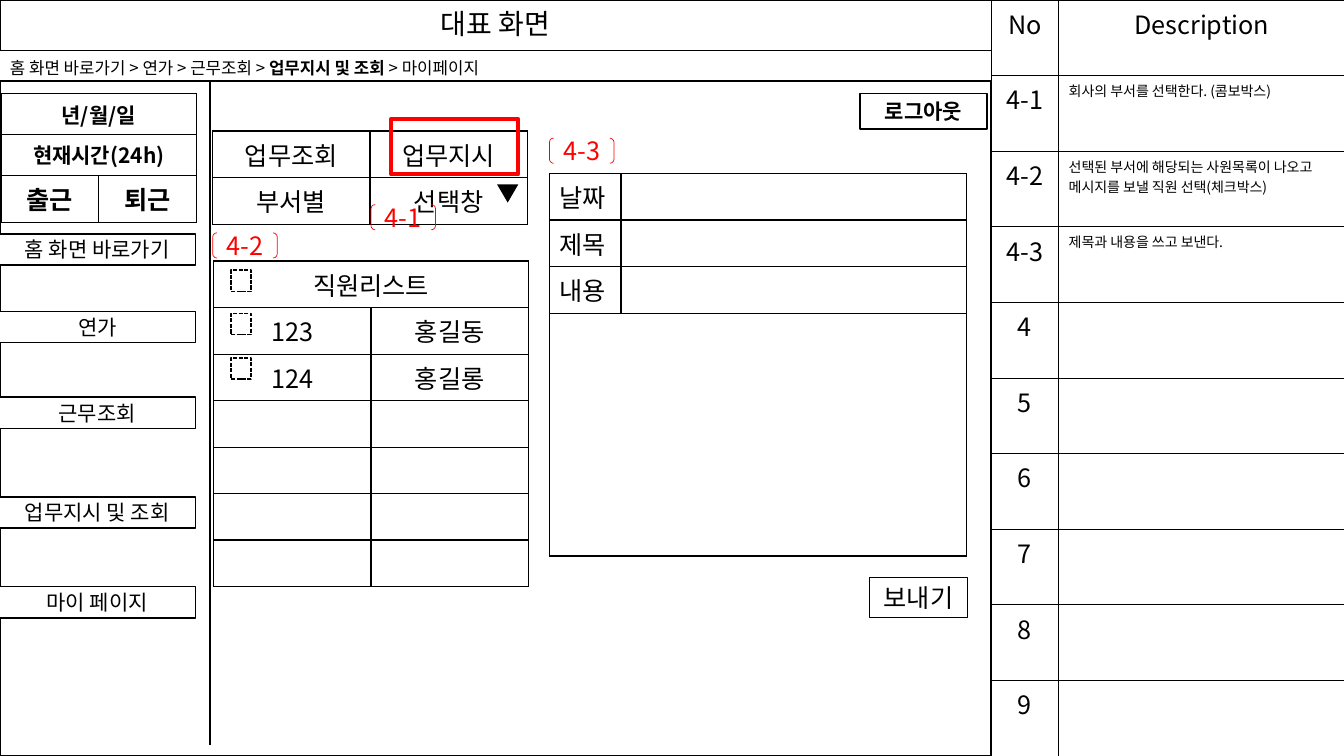
from lxml.etree import SubElement
from pptx import Presentation
from pptx.dml.color import RGBColor
from pptx.enum.dml import MSO_LINE
from pptx.enum.shapes import MSO_CONNECTOR, MSO_SHAPE
from pptx.enum.text import MSO_ANCHOR, MSO_AUTO_SIZE, PP_ALIGN
from pptx.oxml import parse_xml
from pptx.oxml.ns import nsdecls, qn
from pptx.util import Inches, Pt

FONT = "Noto Sans CJK KR"
BLACK = RGBColor(0, 0, 0)
WHITE = RGBColor(255, 255, 255)
RED = RGBColor(255, 0, 0)


def write(tf, text, size, color=BLACK, bold=False, align=PP_ALIGN.CENTER):
    tf.text = text
    for p in tf.paragraphs:
        p.alignment = align
        for r in p.runs:
            r.font.size, r.font.bold = Pt(size), bold
            r.font.color.rgb = color
            r.font.name = FONT
            SubElement(r.font._element, qn("a:ea"), typeface=FONT)


def add_box(kind, x, y, w, h, line=BLACK, width=1, fill=None):
    sp = s.shapes.add_shape(kind, Inches(x), Inches(y), Inches(w), Inches(h))
    sp.shadow.inherit = False
    if fill is None:
        sp.fill.background()
    else:
        sp.fill.solid()
        sp.fill.fore_color.rgb = fill
    if line is None:
        sp.line.fill.background()
    else:
        sp.line.color.rgb = line
        sp.line.width = Pt(width)
    sp.text_frame.vertical_anchor = MSO_ANCHOR.MIDDLE
    return sp


prs = Presentation()
prs.slide_width, prs.slide_height = Inches(13.33), Inches(7.5)
s = prs.slides.add_slide(prs.slide_layouts[5])

title = s.shapes.title
title.left, title.top, title.width, title.height = 0, 0, Inches(9.83), Inches(0.5)
title.line.color.rgb = BLACK
title.line.width = Pt(0.75)
title.text_frame.auto_size = MSO_AUTO_SIZE.NONE
title.text_frame.vertical_anchor = MSO_ANCHOR.MIDDLE
write(title.text_frame, "대표 화면", 20)
title.text_frame.paragraphs[0].line_spacing = 0.9

add_box(MSO_SHAPE.RECTANGLE, 0, 0.81, 9.83, 6.69, fill=WHITE)
add_box(MSO_SHAPE.RECTANGLE, 0, 0.5, 9.83, 0.3, width=0.75)

descriptions = [
    ("No", "Description"),
    ("4-1", "회사의 부서를 선택한다. (콤보박스)"),
    ("4-2", "선택된 부서에 해당되는 사원목록이 나오고\n메시지를 보낼 직원 선택(체크박스)"),
    ("4-3", "제목과 내용을 쓰고 보낸다."),
] + [(str(n), "") for n in range(4, 10)]
clock = [("년/월/일",), ("현재시간(24h)",), ("출근", "퇴근")]
tabs = [("업무조회", "업무지시"), ("부서별", "선택창")]
staff = [("직원리스트",), ("123", "홍길동"), ("124", "홍길롱")] + [("", "")] * 4
form = [("날짜", ""), ("제목", ""), ("내용", ""), ("",)]

tables = [
    (descriptions, 9.83, 0, [0.67, 2.84], [0.75] * 10, 0.5),
    (clock, 0.01, 0.93, [0.97, 0.97], [0.4, 0.41, 0.46], 1),
    (tabs, 2.11, 1.3, [1.56, 1.56], [0.46] * 2, 1),
    (staff, 2.12, 2.59, [1.56, 1.56], [0.46] * 7, 1),
    (form, 5.45, 1.72, [0.71, 3.43], [0.46] * 3 + [2.41], 1),
]
for rows, x, y, widths, heights, border in tables:
    table = s.shapes.add_table(len(rows), 2, Inches(x), Inches(y),
                               Inches(sum(widths)), Inches(sum(heights))).table
    table.first_row = table.horz_banding = False
    for col, w in zip(table.columns, widths):
        col.width = Inches(w)
    for i, (row, h) in enumerate(zip(rows, heights)):
        table.rows[i].height = Inches(h)
        if len(row) == 1:
            table.cell(i, 0).merge(table.cell(i, 1))
        for j in range(2):
            cell = table.cell(i, j)
            cell.fill.background()
            for k, side in enumerate("LRTB"):
                cell._tc.tcPr.insert(k, parse_xml(
                    f'<a:ln{side} {nsdecls("a")} w="{int(Pt(border))}"><a:solidFill>'
                    f'<a:srgbClr val="{BLACK}"/></a:solidFill></a:ln{side}>'))
            if j < len(row) and row[j]:
                note = rows is descriptions and i > 0 and j == 1
                size = 10 if note else 15 if rows is clock and i < 2 else 18
                align = PP_ALIGN.LEFT if note or rows is form else PP_ALIGN.CENTER
                write(cell.text_frame, row[j], size, bold=rows is clock, align=align)

menu = [("홈 화면 바로가기", 2.32), ("연가", 3.09), ("근무조회", 3.94),
        ("업무지시 및 조회", 4.93), ("마이 페이지", 5.82)]
for text, y in menu:
    sp = add_box(MSO_SHAPE.RECTANGLE, -0.01, y, 1.95, 0.31, fill=WHITE)
    write(sp.text_frame, text, 15)

arrow = add_box(MSO_SHAPE.ISOSCELES_TRIANGLE, 4.93, 1.83, 0.21, 0.18, line=None, fill=BLACK)
arrow.rotation = 180

for y in (2.68, 3.11, 3.55):
    check = add_box(MSO_SHAPE.RECTANGLE, 2.29, y, 0.2, 0.21)
    check.line.dash_style = MSO_LINE.SQUARE_DOT

send = add_box(MSO_SHAPE.RECTANGLE, 8.62, 5.73, 0.98, 0.4, width=0.75)
write(send.text_frame, "보내기", 18)
logout = add_box(MSO_SHAPE.RECTANGLE, 8.53, 0.93, 1.26, 0.35, fill=WHITE)
write(logout.text_frame, "로그아웃", 15, bold=True)

for text, x, y in [("4-3", 5.45, 1.37), ("4-1", 3.68, 2.03), ("4-2", 2.11, 2.31)]:
    mark = add_box(MSO_SHAPE.DOUBLE_BRACKET, x, y, 0.64, 0.25, line=RED, width=0.5)
    mark.text_frame.word_wrap = False
    write(mark.text_frame, text, 18, color=RED)

crumbs = s.shapes.add_textbox(0, Inches(0.52), Inches(6.14), Inches(0.3))
tf = crumbs.text_frame
tf.word_wrap = True
write(tf, "홈 화면 바로가기 > 연가 > 근무조회 > ", 12, align=PP_ALIGN.LEFT)
p = tf.paragraphs[0]
for text, bold in [("업무지시 및 조회 ", True), ("> 마이페이지", False)]:
    r = p.add_run()
    r.text = text
    r.font.size, r.font.bold = Pt(12), bold
    r.font.color.rgb = BLACK
    r.font.name = FONT
    SubElement(r.font._element, qn("a:ea"), typeface=FONT)

divider = s.shapes.add_connector(MSO_CONNECTOR.STRAIGHT, Inches(2.08), Inches(0.81),
                                 Inches(2.08), Inches(7.39))
divider.line.color.rgb = BLACK
divider.line.width = Pt(1.5)
SubElement(divider._element.spPr, qn("a:effectLst"))

add_box(MSO_SHAPE.RECTANGLE, 3.88, 1.18, 1.26, 0.55, line=RED, width=3)

prs.save("out.pptx")
